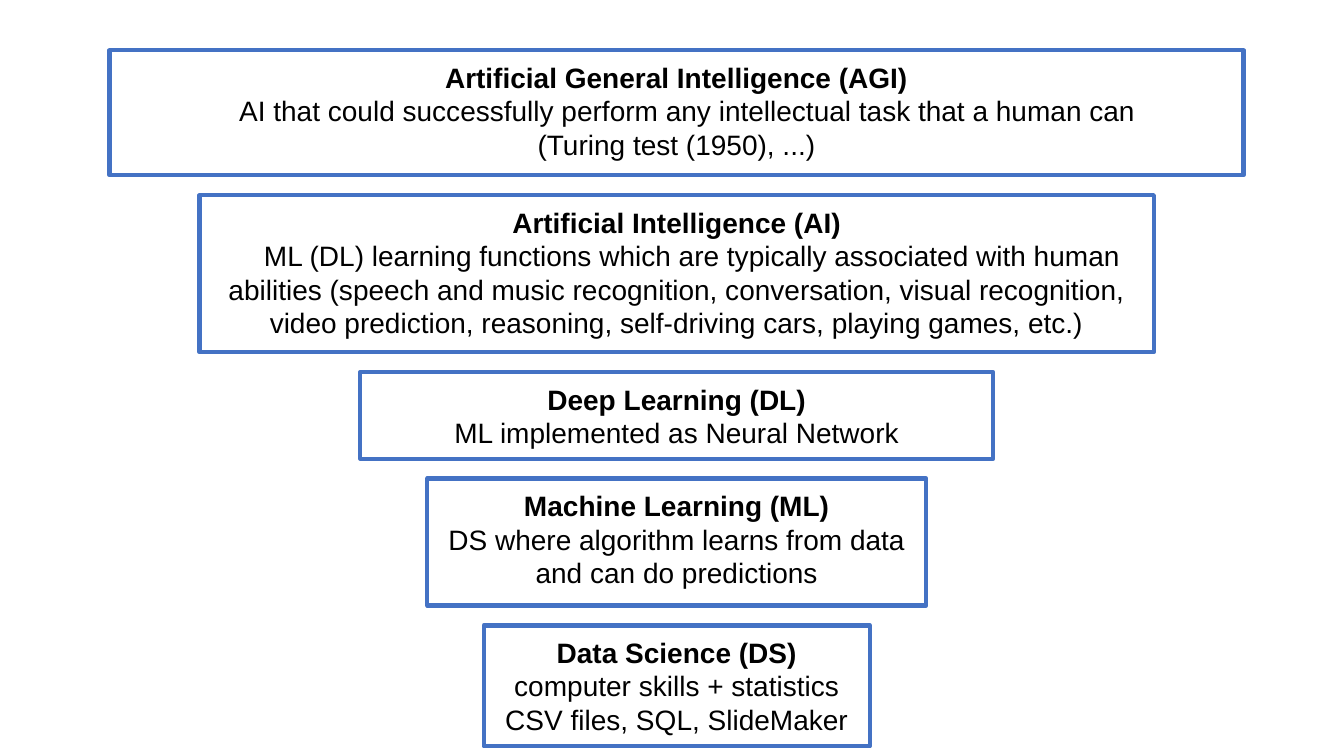
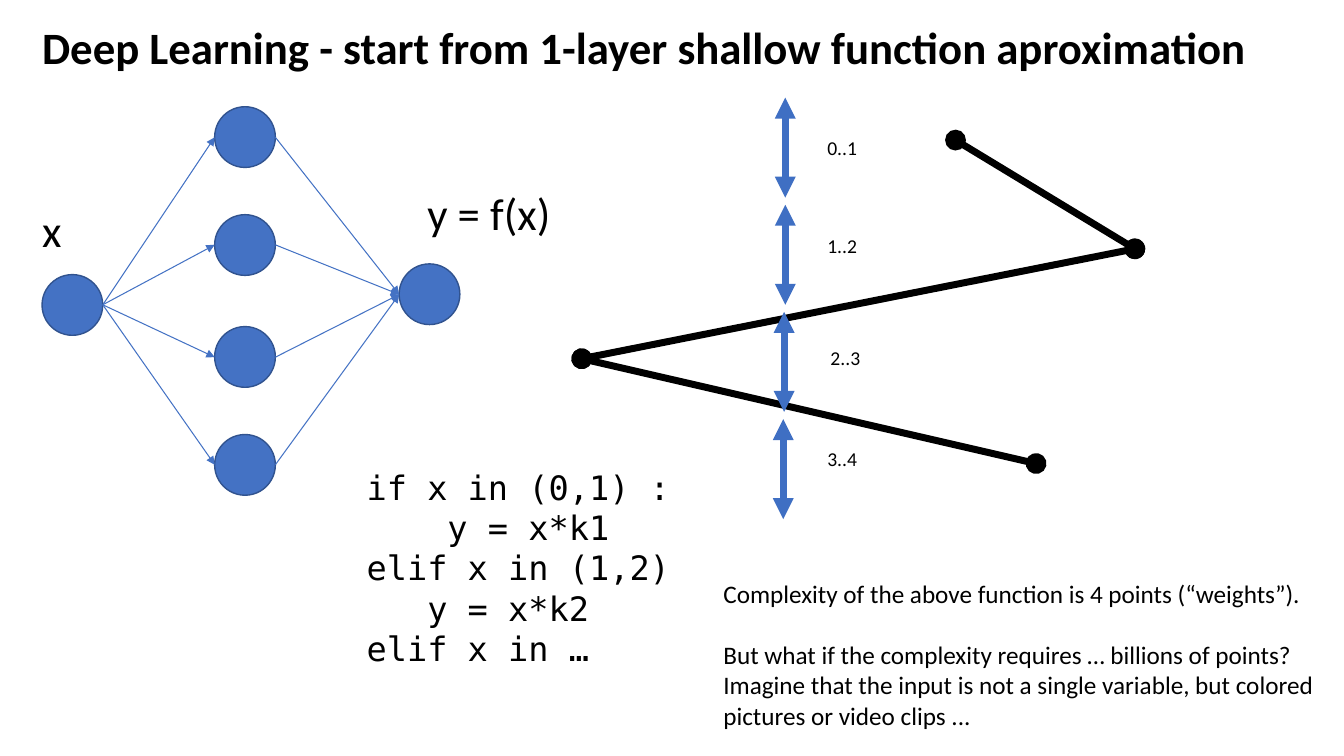
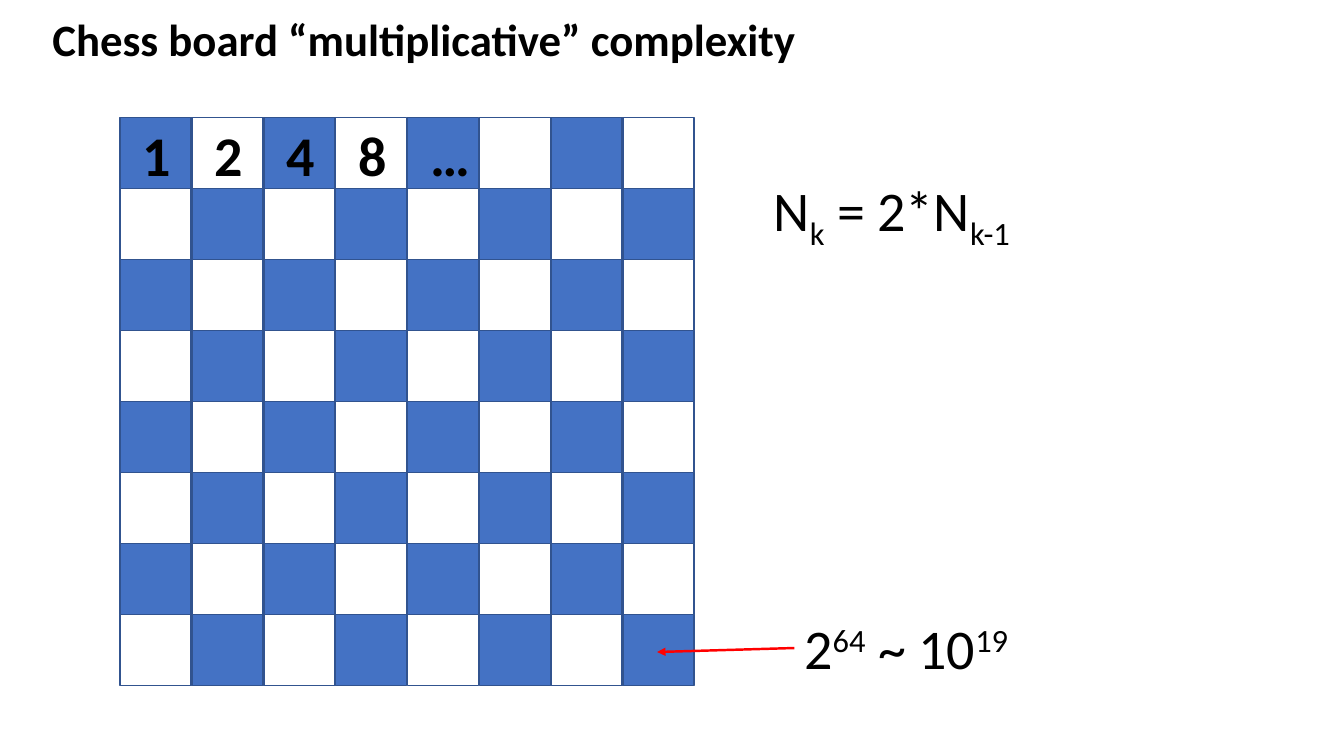
import itertools

import pptx
import pptx.dml.color
import pptx.enum.shapes
import pptx.enum.text
import pptx.oxml
import pptx.oxml.ns
import pptx.util
from pptx.util import Cm

BLACK = pptx.dml.color.RGBColor(0x00, 0x00, 0x00)
BLUE = pptx.dml.color.RGBColor(0x44, 0x72, 0xC4)
ARROW_BLUE = pptx.dml.color.RGBColor(0x3F, 0x6F, 0xC3)
OUTLINE_BLUE = pptx.dml.color.RGBColor(0x31, 0x53, 0x8F)
RED = pptx.dml.color.RGBColor(0xFF, 0x00, 0x00)

SHAPES = pptx.enum.shapes.MSO_SHAPE
CENTER = pptx.enum.text.PP_ALIGN.CENTER
SUBSCRIPT, SUPERSCRIPT = -25000, 30000

FUNNEL = [
    (28.58, 3.15, 0.55, [
        "Artificial General Intelligence (AGI)",
        "AI that could successfully perform any intellectual task that a human can",
        "(Turing test (1950), ...)"]),
    (24.05, 3.96, 0.78, [
        "Artificial Intelligence (AI)",
        "ML (DL) learning functions which are typically associated with human abilities "
        "(speech and music recognition, conversation, visual recognition, video prediction, "
        "reasoning, self-driving cars, playing games, etc.)"]),
    (15.95, 2.18, 0, ["Deep Learning (DL)", "ML implemented as Neural Network"]),
    (12.57, 3.2, 0, [
        "Machine Learning (ML)",
        "DS where algorithm learns from data and can do predictions"]),
    (9.73, 3.05, 0, [
        "Data Science (DS)",
        "computer skills + statistics",
        "CSV files, SQL, SlideMaker"]),
]
FUNNEL_CENTER, FUNNEL_TOP, FUNNEL_GAP, FUNNEL_INSET = 17.05, 1.27, 0.5, 0.25

NETWORK_TITLE = "Deep Learning - start from 1-layer shallow function aproximation"
NODE = 1.53
INPUT_NODE = (1.06, 6.92)
HIDDEN_NODES = [(5.41, top) for top in (2.69, 5.41, 8.23, 10.95)]
OUTPUT_NODE = (10.06, 6.65)
CODE = [
    "if x in (0,1) :",
    "    y = x*k1",
    "elif x in (1,2)",
    "   y = x*k2",
    "elif x in …",
]
CURVE = [(24.08, 3.53), (28.6, 6.27), (14.66, 9.04), (26.11, 11.68)]
RANGES = [
    ("0..1", 19.79, 20.6, 3.3),
    ("1..2", 19.79, 20.6, 5.77),
    ("2..3", 19.76, 20.68, 8.59),
    ("3..4", 19.74, 20.6, 11.13),
]
RANGE_TOP, RANGE_LENGTH, RANGE_PITCH = 2.46, 2.52, 2.7
REMARKS = [
    "Complexity of the above function is 4 points (“weights”).",
    "But what if the complexity requires … billions of points?",
    "Imagine that the input is not a single variable, but colored pictures or video clips ...",
]

BOARD_TITLE = "Chess board “multiplicative” complexity"
BOARD_LEFT, BOARD_TOP, BOARD_SIZE = 3.03, 2.96, 8
COLUMN_PITCH, SQUARE = 1.81, 1.79
GRAINS = ["1", "2", "4", "8", "…"]
RECURRENCE = [("N", 0), ("k", SUBSCRIPT), (" = 2*N", 0), ("k-1", SUBSCRIPT)]
TOTAL = [("2", 0), ("64", SUPERSCRIPT), (" ~ 10", 0), ("19", SUPERSCRIPT)]


def lengths(values):
    return [Cm(round(value, 2)) for value in values]


def style(font, size, name="Calibri", bold=False):
    font.size = pptx.util.Pt(size)
    font.name = name
    font.bold = bold
    font.color.rgb = BLACK


def write(frame, lines, size, name="Calibri", bold=False):
    frame.word_wrap = True
    frame.text = "\n".join(lines)
    for para in frame.paragraphs:
        for span in para.runs:
            style(span.font, size, name, bold)


def add_text(page, at, lines, size, **options):
    box = page.shapes.add_textbox(*lengths(at))
    write(box.text_frame, lines, size, **options)
    return box


def add_title(page, at, title):
    add_text(page, at, [title], 32, bold=True)


def add_formula(page, at, parts):
    para = add_text(page, at, [], 40).text_frame.paragraphs[0]
    for text, baseline in parts:
        span = para.add_run()
        span.text = text
        style(span.font, 40)
        if baseline:
            span.font._element.set("baseline", str(baseline))


def add_shape(page, kind, at, fill, outline, width):
    shape = page.shapes.add_shape(kind, *lengths(at))
    shape.shadow.inherit = False
    if fill is None:
        shape.fill.background()
    else:
        shape.fill.solid()
        shape.fill.fore_color.rgb = fill
    shape.line.color.rgb = outline
    shape.line.width = pptx.util.Pt(width)
    return shape


def add_line(page, start, end, color, width, head=None, tail=None):
    line = page.shapes.add_connector(
        pptx.enum.shapes.MSO_CONNECTOR.STRAIGHT, *lengths(start + end))
    line.line.color.rgb = color
    line.line.width = pptx.util.Pt(width)
    outline = line.line._get_or_add_ln()
    for tag, kind in (("a:headEnd", head), ("a:tailEnd", tail)):
        if kind:
            tip = pptx.oxml.xmlchemy.OxmlElement(tag)
            tip.set("type", kind)
            outline.append(tip)
    line._element.spPr.append(pptx.oxml.xmlchemy.OxmlElement("a:effectLst"))


def build_funnel(page):
    top = FUNNEL_TOP
    for width, height, indent, lines in FUNNEL:
        at = (FUNNEL_CENTER - width / 2, top, width, height)
        frame = add_shape(page, SHAPES.RECTANGLE, at, None, BLUE, 3).text_frame
        frame.vertical_anchor = pptx.enum.text.MSO_ANCHOR.TOP
        frame.margin_left = frame.margin_right = Cm(FUNNEL_INSET)
        frame.margin_top = frame.margin_bottom = Cm(FUNNEL_INSET)
        write(frame, lines, 20, name="Arial")
        for para in frame.paragraphs:
            para.alignment = CENTER
        frame.paragraphs[0].runs[0].font.bold = True
        if indent:
            properties = frame.paragraphs[1]._p.get_or_add_pPr()
            properties.set("indent", str(int(Cm(indent))))
        top += height + FUNNEL_GAP


def left_side(node):
    return node[0], node[1] + NODE / 2


def right_side(node):
    return node[0] + NODE, node[1] + NODE / 2


def build_network(page):
    add_title(page, (0.81, 0.36, 32.18, 1.63), NETWORK_TITLE)
    for node in [INPUT_NODE, *HIDDEN_NODES, OUTPUT_NODE]:
        add_shape(page, SHAPES.OVAL, node + (NODE, NODE), BLUE, OUTLINE_BLUE, 1)
    for node in HIDDEN_NODES:
        for source, target in ((INPUT_NODE, node), (node, OUTPUT_NODE)):
            add_line(page, right_side(source), left_side(target), BLUE, 0.75, tail="triangle")
    add_text(page, (0.81, 4.98, 1.07, 1.63), ["x"], 32)
    add_text(page, (10.52, 4.55, 4.14, 1.63), ["y = f(x)"], 32)
    add_text(page, (8.99, 11.63, 8.99, 5.38), CODE, 24, name="DejaVu Sans Mono")

    for start, end in itertools.pairwise(CURVE):
        add_line(page, start, end, BLACK, 5, head="oval", tail="oval")
    for index, (label, x, label_left, label_top) in enumerate(RANGES):
        top = RANGE_TOP + index * RANGE_PITCH
        add_line(page, (x, top), (x, top + RANGE_LENGTH), ARROW_BLUE, 5,
                 head="triangle", tail="triangle")
        add_text(page, (label_left, label_top, 1.9, 0.86), [label], 14)

    remarks = add_text(page, (17.98, 14.45, 15.49, 4.29), REMARKS, 18)
    remarks.text_frame.paragraphs[1].space_before = pptx.util.Pt(22)


def build_board(page):
    add_title(page, (1.07, 0.18, 26.82, 1.63), BOARD_TITLE)
    for column, row in itertools.product(range(BOARD_SIZE), repeat=2):
        at = (BOARD_LEFT + column * COLUMN_PITCH, BOARD_TOP + row * SQUARE, SQUARE, SQUARE)
        fill = BLUE if (column + row) % 2 == 0 else None
        add_shape(page, SHAPES.RECTANGLE, at, fill, OUTLINE_BLUE, 1)
    for column, grain in enumerate(GRAINS):
        at = (BOARD_LEFT + 0.32 + column * COLUMN_PITCH, 2.9, 1.35, 1.96)
        add_text(page, at, [grain], 40, bold=True)
    add_formula(page, (20.02, 15.34, 6.81, 1.96), TOTAL)
    add_line(page, (20.02, 16.33), (16.56, 16.43), RED, 1.75, tail="triangle")
    add_formula(page, (19.25, 4.29, 10.82, 1.96), RECURRENCE)


def main():
    deck = pptx.Presentation()
    deck.slide_width, deck.slide_height = Cm(33.87), Cm(19.05)
    for build in (build_funnel, build_network, build_board):
        build(deck.slides.add_slide(deck.slide_layouts[6]))
    deck.save("out.pptx")


if __name__ == "__main__":
    main()
